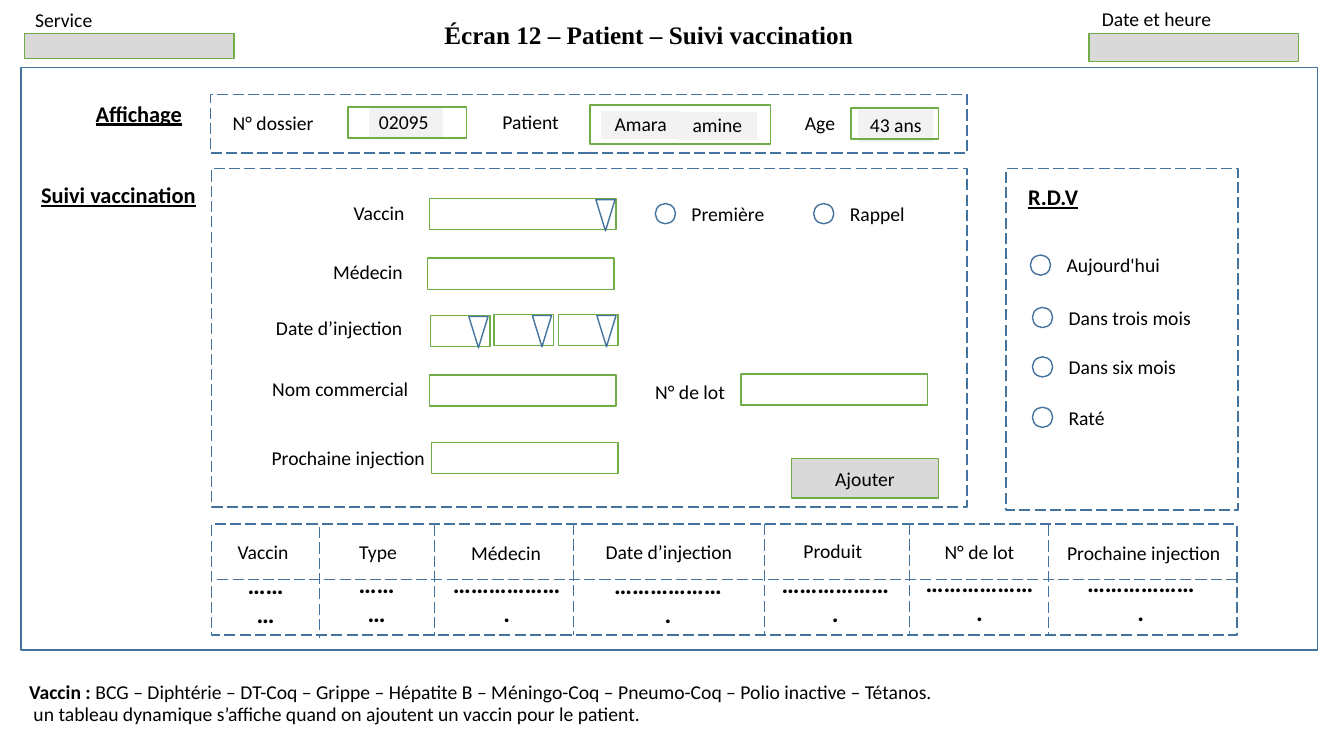
from lxml import etree
from pptx import Presentation
from pptx.dml.color import RGBColor
from pptx.enum.dml import MSO_LINE
from pptx.enum.shapes import MSO_CONNECTOR, MSO_SHAPE
from pptx.enum.text import MSO_ANCHOR, MSO_AUTO_SIZE, PP_ALIGN
from pptx.oxml.ns import qn
from pptx.util import Inches, Pt

BLACK = RGBColor(0, 0, 0)
BLUE = RGBColor(0x43, 0x73, 0x9E)
GREEN = RGBColor(0x70, 0xAD, 0x47)
GREY = RGBColor(0xD9, 0xD9, 0xD9)
PALE = RGBColor(0xF2, 0xF2, 0xF2)
RECT, OVAL, WEDGE = MSO_SHAPE.RECTANGLE, MSO_SHAPE.OVAL, MSO_SHAPE.ISOSCELES_TRIANGLE
STRAIGHT = MSO_CONNECTOR.STRAIGHT
DASH = MSO_LINE.LONG_DASH
LEFT, CENTER = PP_ALIGN.LEFT, PP_ALIGN.CENTER
MIDDLE, BOTTOM = MSO_ANCHOR.MIDDLE, MSO_ANCHOR.BOTTOM
FIXED = MSO_AUTO_SIZE.NONE
PLAIN = {"name": "Calibri", "size": Pt(14), "bold": False, "underline": False}
HEAD = {"size": Pt(16), "bold": True, "underline": True}
DOTS = {"size": Pt(18), "bold": True}
TITLE = {"name": "Times New Roman", "size": Pt(18), "bold": True}


class Form:
    """Draws the parts of a form screen on one slide."""

    def __init__(self, deck):
        self.slide = deck.slides.add_slide(deck.slide_layouts[5])
        self.shapes = self.slide.shapes

    def label(self, shape, rows, align=CENTER, font=None, anchor=MIDDLE, space=0.95):
        frame = shape.text_frame
        for key, value in {"word_wrap": True, "auto_size": FIXED,
                           "vertical_anchor": anchor}.items():
            setattr(frame, key, value)
        if isinstance(rows, str):
            rows = [[(rows, {})]]
        for spot, row in enumerate(rows):
            para = frame.add_paragraph() if spot else frame.paragraphs[0]
            para.alignment, para.line_spacing = align, space
            for words, extra in row:
                run = para.add_run()
                run.text = words
                for key, value in {**PLAIN, **(font or {}), **extra}.items():
                    setattr(run.font, key, value)
                run.font.color.rgb = BLACK

    def title(self, box, words):
        shape = self.shapes.title
        for key, value in zip(("left", "top", "width", "height"), box):
            setattr(shape, key, Inches(value))
        self.label(shape, words, font=TITLE, anchor=BOTTOM)

    def text(self, box, rows, align=CENTER, font=None, space=0.95):
        shape = self.shapes.add_textbox(*map(Inches, box))
        self.label(shape, rows, align, font, space=space)

    def stroke(self, line, color, dash=None):
        line.color.rgb = color
        line.width = Pt(1)
        if dash:
            line.dash_style = dash

    def shape(self, box, color=GREEN, fill=None, dash=None, kind=RECT):
        shape = self.shapes.add_shape(kind, *map(Inches, box))
        shape.shadow.inherit = False
        if fill is None:
            shape.fill.background()
        else:
            shape.fill.solid()
            shape.fill.fore_color.rgb = fill
        if color is None:
            shape.line.fill.background()
        else:
            self.stroke(shape.line, color, dash)
        return shape

    def panel(self, box):
        self.shape(box, BLUE, dash=DASH)

    def value(self, box, words, align=CENTER):
        self.label(self.shape(box, None, PALE), words, align)

    def arrow(self, left, top):
        self.shape((left, top, 0.19, 0.31), BLUE, kind=WEDGE).rotation = 180

    def choice(self, left, top, words, width):
        self.shape((left, top, 0.2, 0.2), BLUE, kind=OVAL)
        self.text((left + 0.26, top - 0.08, width, 0.38), words, LEFT)

    def rule(self, *ends):
        line = self.shapes.add_connector(STRAIGHT, *map(Inches, ends))
        self.stroke(line.line, BLUE, DASH)
        etree.SubElement(line._element.spPr, qn("a:effectLst"))


def header(form):
    form.title((3.91, 0.11, 5.05, 0.44), "Écran 12 – Patient – Suivi vaccination")
    form.shape((0.21, 0.67, 12.86, 5.78), BLUE)
    form.shape((0.24, 0.33, 2.08, 0.25), fill=GREY)
    form.shape((10.8, 0.33, 2.08, 0.28), fill=GREY)
    form.text((0.25, 0.03, 1.4, 0.34), "Service", LEFT, space=1)
    form.text((10.83, 0.02, 1.4, 0.34), "Date et heure", LEFT, space=1)


def patient(form):
    form.text((0.85, 0.94, 1.06, 0.39), "Affichage", LEFT, HEAD)
    form.panel((2.09, 0.94, 7.5, 0.58))
    form.text((2.15, 1.01, 1.12, 0.43), "N° dossier")
    form.text((4.76, 1, 1.05, 0.43), "Patient ")
    form.text((7.85, 1.02, 0.61, 0.42), "Age ")
    form.value((3.66, 1.06, 0.73, 0.31), "02095", LEFT)
    form.value((5.96, 1.1, 0.79, 0.28), "Amara")
    form.value((6.72, 1.11, 0.79, 0.28), "amine")
    form.value((8.51, 1.09, 0.75, 0.32), "43 ans")
    for box in ((3.45, 1.06, 1.18, 0.31), (5.85, 1.04, 1.79, 0.39),
                (8.44, 1.07, 0.87, 0.31)):
        form.shape(box)


def entry(form):
    form.text((0.13, 1.67, 2.09, 0.55), "Suivi vaccination", font=HEAD)
    form.panel((2.1, 1.67, 7.49, 3.36))
    for left, top, width, words in (
            (3.27, 1.93, 0.98, "Vaccin"), (3.16, 2.51, 0.98, "Médecin"),
            (2.58, 3.07, 1.57, "Date d’injection"),
            (2.59, 3.67, 1.57, "Nom commercial"),
            (6.3, 3.7, 1.09, "N° de lot"),
            (2.55, 4.36, 1.81, "Prochaine injection")):
        form.text((left, top, width, 0.39), words)
    for left, top in ((4.26, 1.97), (4.24, 2.56), (4.26, 3.72),
                      (7.35, 3.71), (4.28, 4.39)):
        form.shape((left, top, 1.85, 0.31))
    form.arrow(5.91, 1.98)
    for left, top in ((4.27, 3.13), (4.9, 3.12), (5.54, 3.12)):
        form.shape((left, top, 0.59, 0.31))
        form.arrow(left + 0.38, top + 0.01)
    form.choice(6.5, 2.02, "Première", 0.98)
    form.choice(8.07, 2.02, "Rappel", 0.98)
    button = form.shape((7.85, 4.55, 1.46, 0.39), fill=GREY)
    form.label(button, "Ajouter", space=1)


def visit(form):
    form.panel((9.98, 1.67, 2.3, 3.39))
    form.text((10.1, 1.77, 1.06, 0.39), "R.D.V", LEFT, HEAD)
    for left, top, words in ((10.22, 2.53, "Aujourd'hui"),
                             (10.24, 3.05, "Dans trois mois"),
                             (10.24, 3.54, "Dans six mois"),
                             (10.24, 4.04, "Raté")):
        form.choice(left, top, words, 1.57)


def record(form):
    form.panel((2.1, 5.2, 10.17, 1.1))
    form.rule(12.27, 5.75, 2.14, 5.75)
    for left, top in ((3.17, 5.23), (4.31, 5.21), (5.69, 5.2),
                      (7.58, 5.2), (9.02, 5.2), (10.4, 5.21)):
        form.rule(left, top, left, top + 1.1)
    short, long = (0.73, "………"), (1.31, "……………….")
    for words, left, top, width, start, level, (span, dots) in (
            ("Vaccin", 2.12, 5.27, 0.98, 2.27, 5.77, short),
            ("Type", 3.26, 5.27, 0.98, 3.37, 5.76, short),
            ("Médecin", 4.53, 5.28, 0.98, 4.37, 5.76, long),
            ("Date d’injection", 5.75, 5.27, 1.77, 5.97, 5.77, long),
            ("Produit", 7.77, 5.26, 0.98, 7.63, 5.76, long),
            ("N° de lot", 9.27, 5.27, 0.98, 9.06, 5.75, long),
            ("Prochaine injection", 10.41, 5.28, 1.87, 10.66, 5.75, long)):
        form.text((left, top, width, 0.43), words,
                  LEFT if words == "N° de lot" else CENTER)
        form.text((start, level, span, 0.37), dots, font=DOTS)


def footer(form):
    names = (" BCG – Diphtérie – DT-Coq – Grippe – Hépatite B – Méningo-Coq"
             " – Pneumo-Coq – Polio inactive – Tétanos.")
    note = " un tableau dynamique s’affiche quand on ajoutent un vaccin pour le patient."
    form.text((0.19, 6.66, 9.94, 0.64),
              [[("Vaccin :", {"bold": True}), (names, {})], [(note, {})]], LEFT)


def main():
    deck = Presentation()
    deck.slide_width, deck.slide_height = Inches(13.33), Inches(7.5)
    form = Form(deck)
    for part in (header, patient, entry, visit, record, footer):
        part(form)
    deck.save("out.pptx")


if __name__ == "__main__":
    main()
